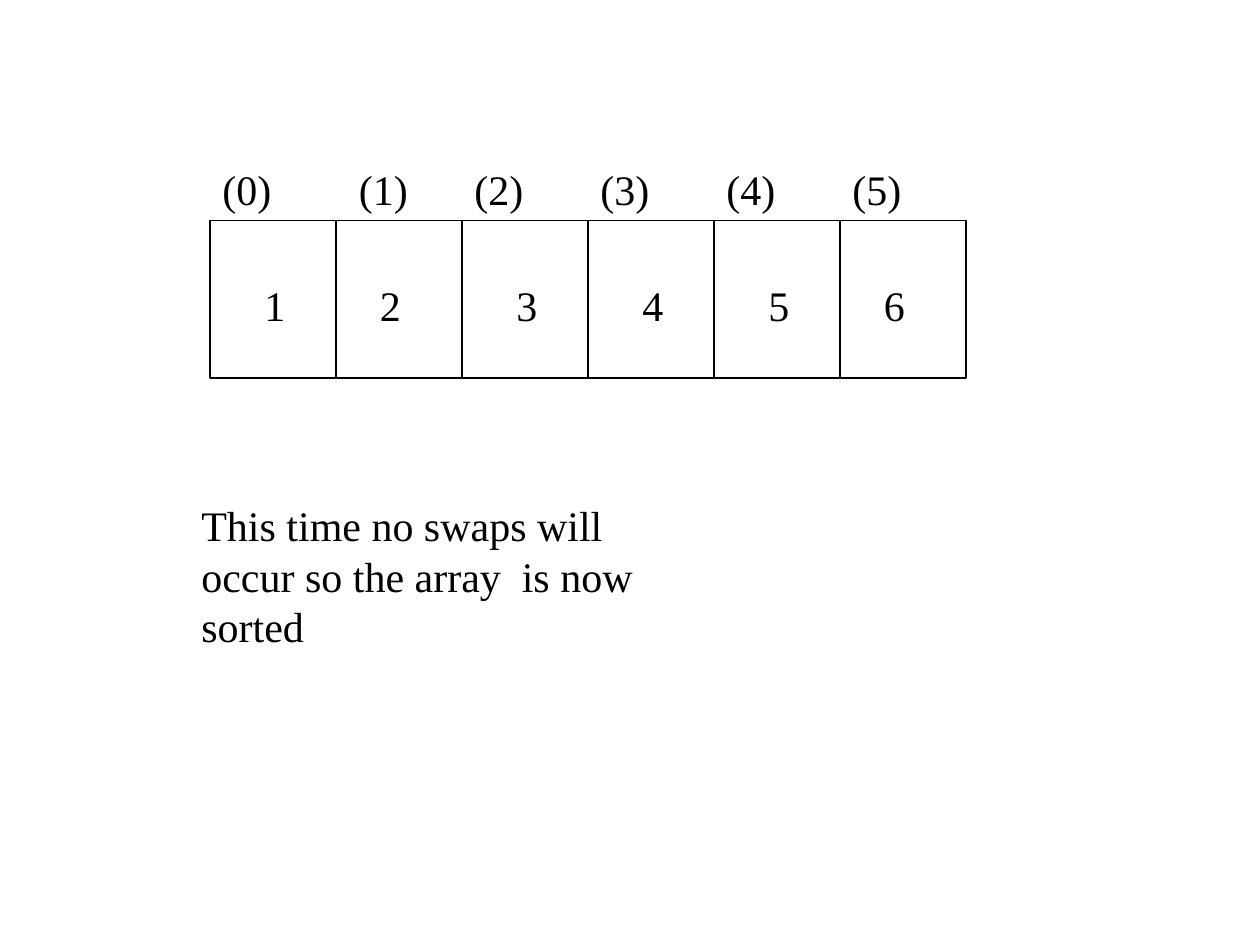
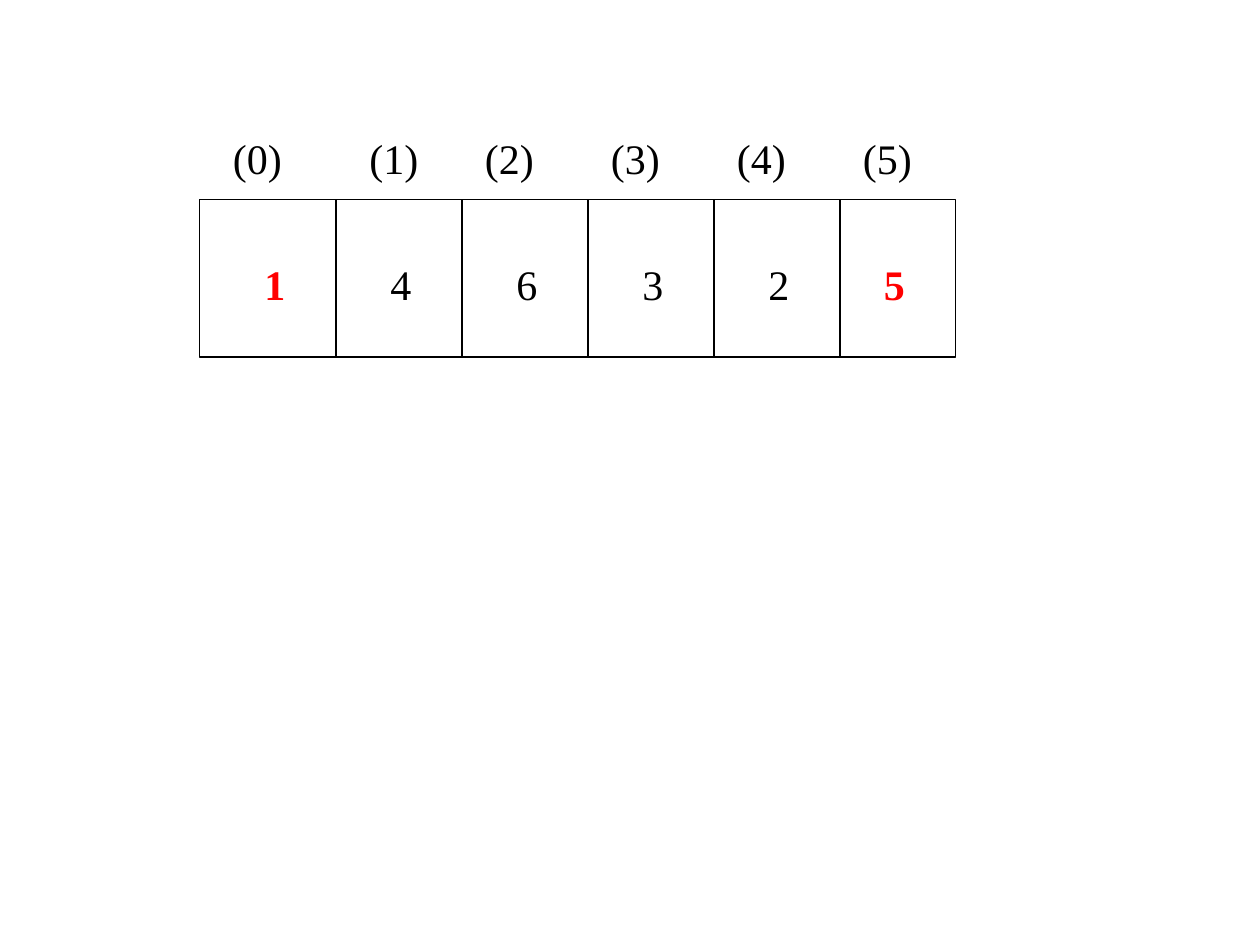
from dataclasses import dataclass

from lxml.etree import SubElement
from pptx import Presentation
from pptx.dml.color import RGBColor
from pptx.enum.shapes import MSO_CONNECTOR, MSO_SHAPE
from pptx.oxml.ns import qn
from pptx.util import Pt


@dataclass(frozen=True)
class Theme:
    """Hold the colours, type and line sizes of the deck."""
    ink: RGBColor = RGBColor(0, 0, 0)
    accent: RGBColor = RGBColor(255, 0, 0)
    font: str = "Times New Roman"
    size: float = 24
    line_pitch: float = 28.8
    stroke: float = 0.75


THEME = Theme()
CELL_WIDTH = 72
CELL_HEIGHT = 90
GRID_LEFT = 120
VALUE_INSET = 24
VALUE_DROP = 30


def add_text(page, text, left, top, width, height=36, marked=False):
    """Add a wrapped text box, bold and accented when marked."""
    box = page.shapes.add_textbox(Pt(left), Pt(top), Pt(width), Pt(height))
    box.text_frame.word_wrap = True
    para = box.text_frame.paragraphs[0]
    para.line_spacing = Pt(THEME.line_pitch)
    span = para.add_run()
    span.text = text
    span.font.name = THEME.font
    span.font.size = Pt(THEME.size)
    span.font.bold = marked
    span.font.color.rgb = THEME.accent if marked else THEME.ink


def add_frame(page, left, top, width):
    """Add the unfilled outline of the array."""
    frame = page.shapes.add_shape(
        MSO_SHAPE.RECTANGLE, Pt(left), Pt(top), Pt(width), Pt(CELL_HEIGHT))
    frame.shadow.inherit = False
    frame.fill.background()
    frame.line.color.rgb = THEME.ink
    frame.line.width = Pt(THEME.stroke)


def add_divider(page, x, top):
    """Add a vertical line between two cells."""
    divider = page.shapes.add_connector(
        MSO_CONNECTOR.STRAIGHT, Pt(x), Pt(top), Pt(x), Pt(top + CELL_HEIGHT))
    divider.line.color.rgb = THEME.ink
    divider.line.width = Pt(THEME.stroke)
    SubElement(divider._element.spPr, qn("a:effectLst"))


def add_array(page, values, top, frame_left, label_left, label_top,
              nudged=(), marked=()):
    """Add an array with indices above its cells and values inside them."""
    add_frame(page, frame_left, top, CELL_WIDTH * len(values))
    for index in range(1, len(values)):
        add_divider(page, GRID_LEFT + CELL_WIDTH * index, top)
    for index, value in enumerate(values):
        offset = CELL_WIDTH * index
        value_left = GRID_LEFT + VALUE_INSET + offset - (6 if index in nudged else 0)
        add_text(page, str(value), value_left, top + VALUE_DROP, 36,
                 marked=index in marked)
        index_left = label_left + offset + (6 if index == 1 else 0)
        add_text(page, f"({index})", index_left, label_top, 60)


def main():
    """Build the two sorting slides."""
    deck = Presentation()
    deck.slide_width, deck.slide_height = Pt(720), Pt(540)
    blank = deck.slide_layouts[6]

    page = deck.slides.add_slide(blank)
    add_array(page, [1, 2, 3, 4, 5, 6], top=126, frame_left=120,
              label_left=120, label_top=90, nudged=(1, 5))
    add_text(page, "This time no swaps will occur so the array  is now sorted",
             108, 282, 294, 93.6)

    page = deck.slides.add_slide(blank)
    add_array(page, [1, 4, 6, 3, 2, 5], top=114, frame_left=114,
              label_left=126, label_top=72, nudged=(5,), marked=(0, 5))

    deck.save("out.pptx")


if __name__ == "__main__":
    main()
